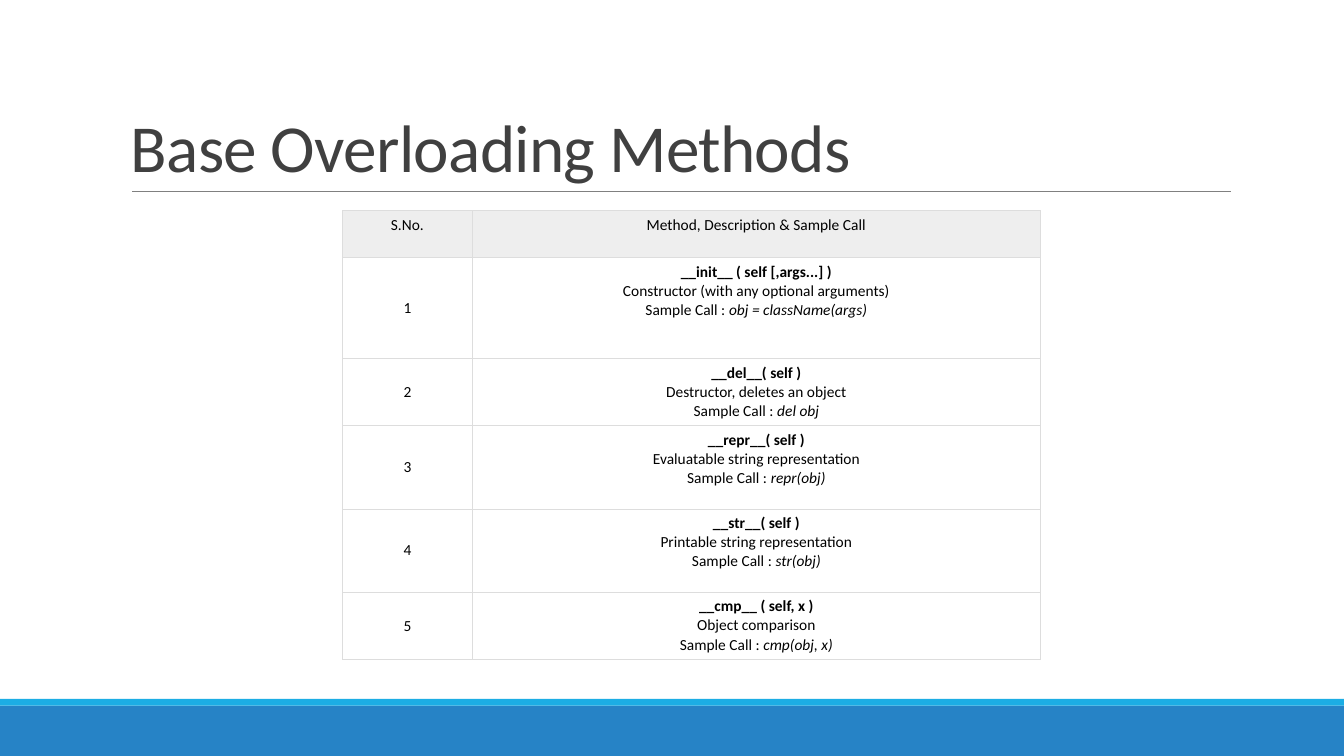
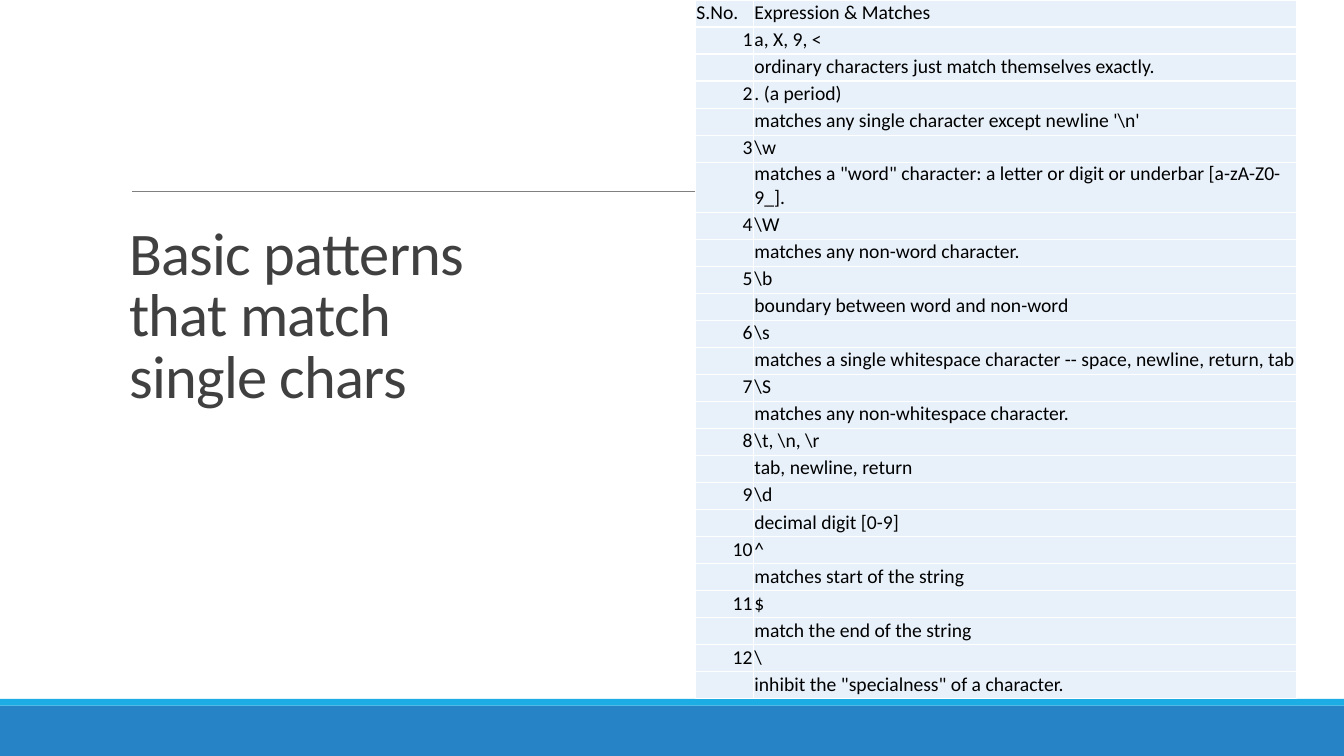
from lxml import etree
from pptx import Presentation
from pptx import util as u
from pptx.dml.color import RGBColor
from pptx.enum import shapes, text
from pptx.oxml.ns import qn

COLUMNS, ROWS = 160, 90
COLORS = {
    "band": "2683C6", "stripe": "1CADE4", "rule": "808080", "title": "404040",
    "text": "000000", "header": "EEEEEE", "grid": "DDDDDD", "tint": "E8F1FA",
    "white": "FFFFFF",
}
ALIGN = text.PP_ALIGN
ANCHOR = text.MSO_ANCHOR

METHODS = [
    ("__init__ ( self [,args...] )", "Constructor (with any optional arguments)", "obj = className(args)"),
    ("__del__( self )", "Destructor, deletes an object", "del obj"),
    ("__repr__( self )", "Evaluatable string representation", "repr(obj)"),
    ("__str__( self )", "Printable string representation", "str(obj)"),
    ("__cmp__ ( self, x )", "Object comparison", "cmp(obj, x)"),
]
PATTERNS = [
    ("a, X, 9, <", "ordinary characters just match themselves exactly."),
    (". (a period)", "matches any single character except newline '\\n'"),
    ("\\w", 'matches a "word" character: a letter or digit or underbar [a-zA-Z0-9_].'),
    ("\\W", "matches any non-word character."),
    ("\\b", "boundary between word and non-word"),
    ("\\s", "matches a single whitespace character -- space, newline, return, tab"),
    ("\\S", "matches any non-whitespace character."),
    ("\\t, \\n, \\r", "tab, newline, return"),
    ("\\d", "decimal digit [0-9]"),
    ("^", "matches start of the string"),
    ("$", "match the end of the string"),
    ("\\", 'inhibit the "specialness" of a character.'),
]


def rgb(name):
    """Return the named colour."""
    return RGBColor.from_string(COLORS[name])


class Deck:
    """Hold the shared style and the current slide."""

    font = "Calibri"

    def __init__(self):
        """Start an empty widescreen presentation."""
        self.show = Presentation()
        self.show.slide_width = u.Inches(13.33)
        self.show.slide_height = u.Inches(7.5)
        self.slide = None

    def x(self, columns):
        """Convert grid columns to a length."""
        return u.Emu(round(self.show.slide_width * columns / COLUMNS))

    def y(self, rows):
        """Convert grid rows to a length."""
        return u.Emu(round(self.show.slide_height * rows / ROWS))

    def box(self, left, top, width, height):
        """Convert a grid rectangle to lengths."""
        return self.x(left), self.y(top), self.x(width), self.y(height)

    def add_slide(self):
        """Add a blank slide with its bands and title rule."""
        self.slide = self.show.slides.add_slide(self.show.slide_layouts[6])
        self.band(84, 6, "band")
        self.band(83.2, 0.8, "stripe")
        self.rule(15.75, 146.5, 22.8)

    def band(self, top, height, color):
        """Draw a band across the slide."""
        band = self.slide.shapes.add_shape(
            shapes.MSO_SHAPE.RECTANGLE, *self.box(0, top, COLUMNS, height))
        band.shadow.inherit = False
        band.fill.solid()
        band.fill.fore_color.rgb = rgb(color)
        band.line.fill.background()

    def rule(self, start, end, row):
        """Draw a thin horizontal line."""
        rule = self.slide.shapes.add_connector(
            shapes.MSO_CONNECTOR.STRAIGHT, self.x(start), self.y(row), self.x(end), self.y(row))
        rule.line.color.rgb = rgb("rule")
        rule.line.width = u.Pt(0.5)
        etree.SubElement(rule._element.spPr, qn("a:effectLst"))

    def style(self, paragraph, size, color="text", bold=False):
        """Set the font of a paragraph."""
        font = paragraph.font
        font.name, font.size, font.bold = self.font, u.Pt(size), bold
        font.color.rgb = rgb(color)

    def title(self, words, area, size):
        """Write a title that stands on the bottom of its area."""
        frame = self.slide.shapes.add_textbox(*self.box(*area)).text_frame
        frame.word_wrap = True
        frame.vertical_anchor = ANCHOR.BOTTOM
        heading = frame.paragraphs[0]
        heading.line_spacing = 0.85
        self.style(heading, size, "title")
        run = heading.add_run()
        run.text = words
        run._r.get_or_add_rPr().set("spc", "-50")

    def table(self, left, top, widths, heights):
        """Add an unstyled table of the given column widths and row heights."""
        area = self.box(left, top, sum(widths), sum(heights))
        table = self.slide.shapes.add_table(len(heights), len(widths), *area).table
        table.first_row = table.horz_banding = False
        for column, width in zip(table.columns, widths):
            column.width = self.x(width)
        for row, height in zip(table.rows, heights):
            row.height = self.y(height)
        return table

    def cell(self, cell, lines, size, margins, border, fill=None, align=ALIGN.LEFT, anchor=ANCHOR.TOP):
        """Fill a cell with lines, each a (plain, italic, bold) triple."""
        cell.margin_left, cell.margin_top, cell.margin_right, cell.margin_bottom = map(u.Pt, margins)
        cell.vertical_anchor = anchor
        if fill:
            cell.fill.solid()
            cell.fill.fore_color.rgb = rgb(fill)
        else:
            cell.fill.background()
        self.borders(cell, *border)
        frame = cell.text_frame
        for number, (plain, italic, bold) in enumerate(lines):
            line = frame.add_paragraph() if number else frame.paragraphs[0]
            line.alignment = align
            self.style(line, size, bold=bold)
            for words, slanted in ((plain, None), (italic, True)):
                if words:
                    run = line.add_run()
                    run.text, run.font.italic = words, slanted
            if not plain:
                etree.SubElement(line._p, qn("a:endParaRPr"), sz=str(size * 100))

    def borders(self, cell, color, width):
        """Draw the four borders of a cell."""
        properties = cell._tc.get_or_add_tcPr()
        for place, side in enumerate(("lnL", "lnR", "lnT", "lnB")):
            edge = etree.Element(qn(f"a:{side}"), w=str(u.Pt(width)))
            paint = etree.SubElement(edge, qn("a:solidFill"))
            etree.SubElement(paint, qn("a:srgbClr"), val=COLORS[color])
            properties.insert(place, edge)


def methods_slide(deck):
    """Build the slide on overloading methods."""
    deck.add_slide()
    deck.title("Base Overloading Methods", (14.4, 3.7, 132, 19.1), 48)
    table = deck.table(40.8, 25.1, (15.4, 67.7), (5.6, 12, 8, 9.9, 9.9, 8))
    look = dict(size=11, margins=(3.6,) * 4, border=("grid", 0.75), align=ALIGN.CENTER)
    for column, heading in enumerate(("S.No.", "Method, Description & Sample Call")):
        deck.cell(table.cell(0, column), [(heading, "", False)], fill="header", **look)
    for row, (method, description, call) in enumerate(METHODS, 1):
        deck.cell(table.cell(row, 0), [(str(row), "", False)], anchor=ANCHOR.MIDDLE, **look)
        details = [(method, "", True), (description, "", False), ("Sample Call : ", call, False)]
        deck.cell(table.cell(row, 1), details, **look)


def patterns_slide(deck):
    """Build the slide on basic patterns."""
    deck.add_slide()
    deck.title("Basic patterns that match single chars", (14.2, 30.4, 51, 19.1), 43.2)
    entries = [("S.No.", "Expression & Matches")]
    for number, (pattern, meaning) in enumerate(PATTERNS, 1):
        entries += [(str(number), pattern), ("", meaning)]
    heights = [5.95 if len(meaning) > 70 else 3.22 for _, meaning in entries]
    table = deck.table(82.8, 0, (6.9, 64.6), heights)
    look = dict(size=14, margins=(0.7, 0, 0.7, 1.6), border=("white", 1), fill="tint", anchor=ANCHOR.BOTTOM)
    for row, (number, words) in enumerate(entries):
        side = ALIGN.RIGHT if row else ALIGN.LEFT
        deck.cell(table.cell(row, 0), [(number, "", False)], align=side, **look)
        deck.cell(table.cell(row, 1), [(words, "", False)], **look)


def main():
    """Build and save the slides."""
    deck = Deck()
    methods_slide(deck)
    patterns_slide(deck)
    deck.show.save("out.pptx")


if __name__ == "__main__":
    main()
